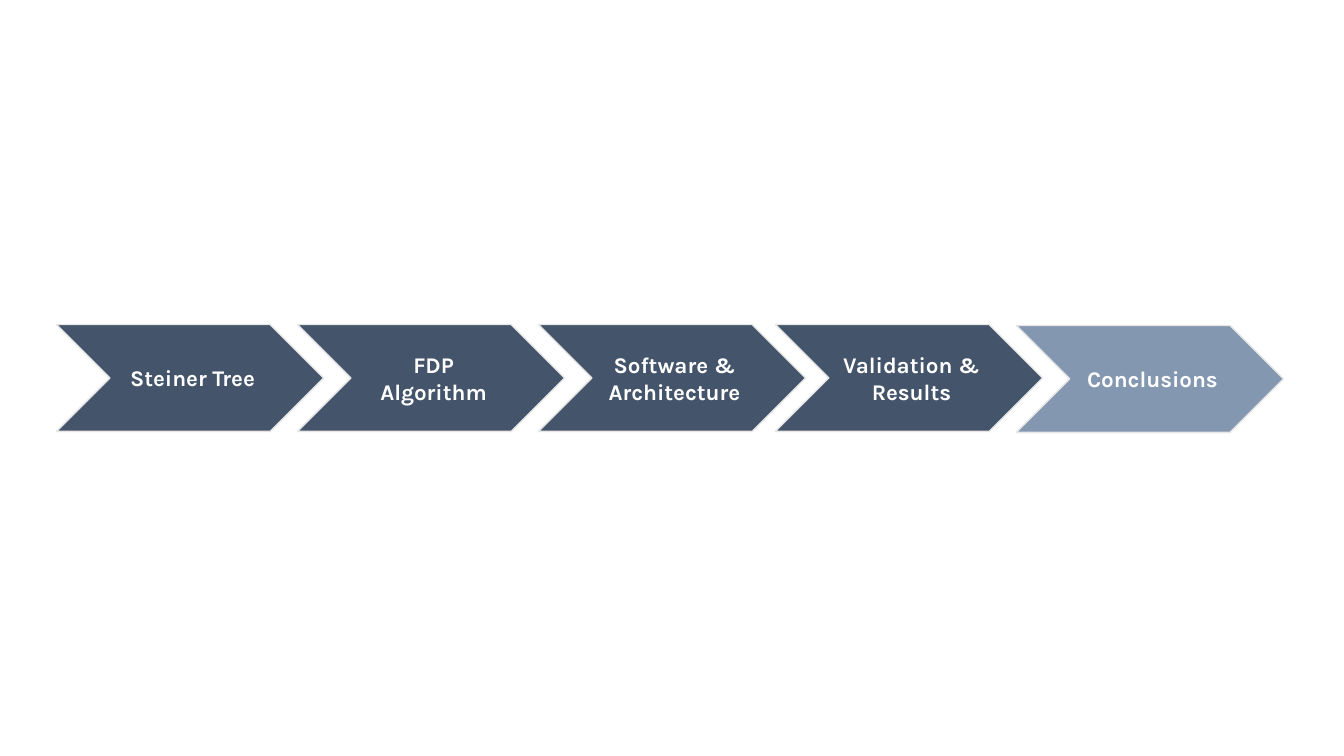
from pptx import Presentation
from pptx.dml.color import RGBColor
from pptx.enum.shapes import MSO_SHAPE
from pptx.enum.text import MSO_ANCHOR, PP_ALIGN
from pptx.util import Inches, Pt

CHEVRON_WIDTH, CHEVRON_HEIGHT = 2.65, 1.06
DONE, CURRENT = "44546A", "8497B0"

# Label, left, top, fill
STEPS = [
    ("Steiner Tree", 0.56, 3.22, DONE),
    ("FDP Algorithm", 2.95, 3.22, DONE),
    ("Software & Architecture", 5.34, 3.22, DONE),
    ("Validation & Results", 7.69, 3.22, DONE),
    ("Conclusions", 10.08, 3.23, CURRENT),
]


def color(hex_string):
    return RGBColor.from_string(hex_string)


def write_text(shape, text, *, font, size, font_color, bold=False):
    """Fill the shape with one centred paragraph that wraps inside it."""
    frame = shape.text_frame
    frame.word_wrap = True
    frame.vertical_anchor = MSO_ANCHOR.MIDDLE
    frame.margin_left = Inches(0.07)
    frame.margin_right = frame.margin_top = frame.margin_bottom = Inches(0.02)
    paragraph = frame.paragraphs[0]
    paragraph.alignment = PP_ALIGN.CENTER
    run = paragraph.add_run()
    run.text = text
    run.font.name = font
    run.font.size = Pt(size)
    run.font.bold = bold
    run.font.color.rgb = color(font_color)


presentation = Presentation()
presentation.slide_width = Inches(13.33)
presentation.slide_height = Inches(7.5)
slide = presentation.slides.add_slide(presentation.slide_layouts[6])

for label, left, top, fill in STEPS:
    chevron = slide.shapes.add_shape(
        MSO_SHAPE.CHEVRON, Inches(left), Inches(top),
        Inches(CHEVRON_WIDTH), Inches(CHEVRON_HEIGHT))
    chevron.shadow.inherit = False
    chevron.fill.solid()
    chevron.fill.fore_color.rgb = color(fill)
    chevron.line.color.rgb = color("E7E6E6")
    chevron.line.width = Pt(1)
    write_text(chevron, label, font="Karla", size=16, font_color="FFFFFF", bold=True)

presentation.save("out.pptx")
